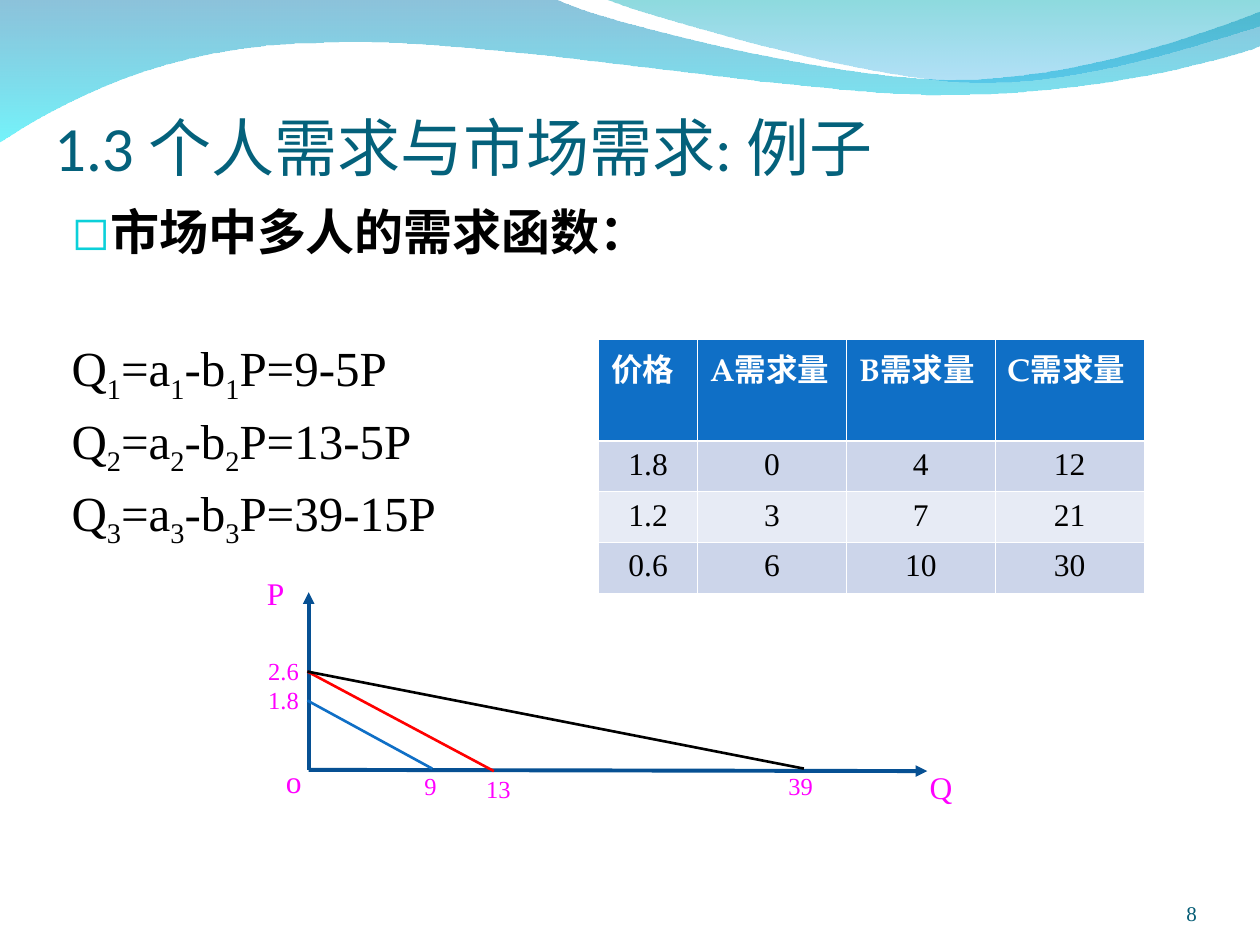
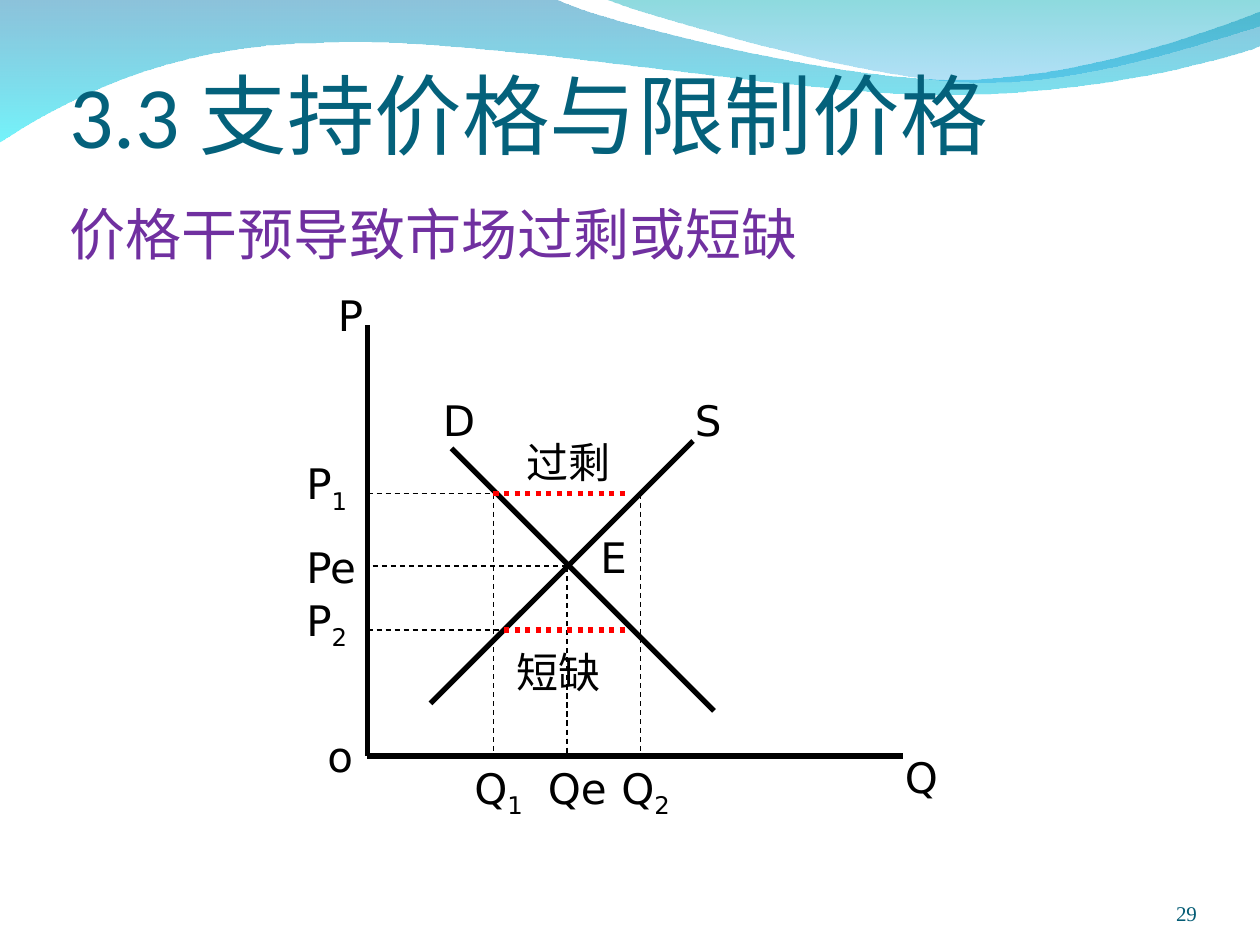
import dataclasses
import pptx
import pptx.util
import pptx.dml.color
import pptx.enum.dml
import pptx.enum.shapes
import pptx.enum.text
import pptx.oxml
import pptx.oxml.ns

Inches = pptx.util.Inches
Pt = pptx.util.Pt
RGB = pptx.dml.color.RGBColor.from_string
Dash = pptx.enum.dml.MSO_LINE
Align = pptx.enum.text.PP_ALIGN
Anchor = pptx.enum.text.MSO_ANCHOR
Fit = pptx.enum.text.MSO_AUTO_SIZE
qn = pptx.oxml.ns.qn


@dataclasses.dataclass(frozen=True)
class Theme:
    ink: str = "000000"
    white: str = "FFFFFF"
    title: str = "04617B"
    number: str = "045C75"
    purple: str = "7030A0"
    pink: str = "FF00FF"
    red: str = "FF0000"
    blue: str = "0F6FC6"
    axis: str = "065093"
    bullet: str = "0BD0D9"
    bands: tuple = ("CCD5EA", "E7EBF5")
    sans: str = "Calibri"
    serif: str = "Times New Roman"
    head: str = "TeX Gyre Pagella"
    label: str = "DejaVu Sans"
    han: str = "Noto Sans CJK SC"
    small: int = 12
    tick: int = 14
    cell: int = 18
    mark: int = 24
    body: int = 28


T = Theme()


@dataclasses.dataclass(frozen=True)
class Box:
    left: float
    top: float
    width: float
    height: float
    cols: float = 1
    rows: float = 1

    def size(self, cols, rows):
        return (Inches(self.width * cols / self.cols),
                Inches(self.height * rows / self.rows))

    def at(self, col, row):
        x, y = self.size(col, row)
        return Inches(self.left) + x, Inches(self.top) + y

    def frame(self):
        return (*self.at(0, 0), *self.size(self.cols, self.rows))


PAGE = Box(0, 0, 10, 7.5, 10, 7.5)
WAVES = (
    ([(0, -0.01), (4.4, -0.01), (4.76, 0.17, 6.64, 0.63, 7.58, 0.63),
      (8.53, 0.63, 9.58, 0.26, 10, 0.09), (10.01, 0.36),
      (9.83, 0.44, 8.7, 0.76, 7.46, 0.75),
      (6.22, 0.75, 3.82, 0.28, 2.57, 0.34),
      (1.29, 0.35, 0.46, 0.83, -0.01, 1.13), (0, -0.01)],
     (("0079AF", 45), ("00EBF8", 55))),
    ([(4.79, -0.01), (5.09, 0.11, 6.82, 0.62, 7.69, 0.65),
      (8.56, 0.69, 9.61, 0.32, 10, 0.21), (10, 0), (4.79, -0.01)],
     (("00ADB6", 45), ("009BE5", 30))),
)


def add_xml(parent, tag, **attrs):
    node = pptx.oxml.parse_xml(f"<a:{tag} {pptx.oxml.ns.nsdecls('a')}/>")
    for key, value in attrs.items():
        node.set(key, str(value))
    parent.append(node)
    return node


def style(run, size, face, color, bold=False):
    run.font.size = Pt(size)
    run.font.name = face
    run.font.bold = bold
    run.font.color.rgb = RGB(color)
    add_xml(run.font._element, "ea", typeface=T.han)


def write(para, text, *look):
    first, *rest = text.split("_")
    para.text = first
    for part in rest:
        low = para.add_run()
        low.text = part[0]
        low.font._element.set("baseline", "-25000")
        if part[1:]:
            para.add_run().text = part[1:]
    for run in para.runs:
        style(run, *look)


def bend(wave, steps):
    lines = iter(list(wave.element.iter(qn("a:lnTo"))))
    for step in steps[1:]:
        group = [next(lines) for _ in range(len(step) // 2)]
        if len(group) == 3:
            arc = add_xml(group[0].getparent(), "cubicBezTo")
            group[0].addprevious(arc)
            for line in group:
                arc.append(line[0])
                line.getparent().remove(line)


def add_waves(slide, master):
    for place, (steps, stops) in enumerate(WAVES, 2):
        spots = [PAGE.at(*step[k:k + 2])
                 for step in steps for k in range(0, len(step), 2)]
        pen = slide.shapes.build_freeform(*spots[0], scale=1.0)
        pen.add_line_segments(spots[1:], close=True)
        wave = pen.convert_to_shape()
        bend(wave, steps)
        wave.shadow.inherit = False
        wave.line.fill.background()
        wave.fill.gradient()
        wave.fill.gradient_angle = 270
        for stop, (color, _) in zip(wave.fill.gradient_stops, stops):
            stop.color.rgb = RGB(color)
        for node, (_, alpha) in zip(wave.element.iter(qn("a:srgbClr")), stops):
            add_xml(node, "alpha", val=alpha * 1000)
        master.shapes.element.insert(place, wave.element)


def add_title(slide, box, lines, spacing=1.0):
    title = slide.shapes.title
    title.left, title.top, title.width, title.height = box.frame()
    frame = title.text_frame
    frame.auto_size = Fit.NONE
    frame.word_wrap = True
    frame.vertical_anchor = Anchor.BOTTOM
    frame.margin_left = frame.margin_right = frame.margin_bottom = 0
    frame.margin_top = Inches(0.05)
    para = frame.paragraphs[0]
    para.text = "\v".join(text for text, *_ in lines)
    para.alignment = Align.LEFT
    para.line_spacing = spacing
    for run, (_, *look) in zip(para.runs, lines):
        style(run, *look)


def add_number(slide, box, text):
    frame = slide.shapes.add_textbox(*box.frame()).text_frame
    frame.word_wrap = True
    frame.vertical_anchor = Anchor.BOTTOM
    frame.margin_left = frame.margin_right = 0
    frame.margin_top = frame.margin_bottom = 0
    para = frame.paragraphs[0]
    para.alignment = Align.RIGHT
    write(para, text, T.small, T.serif, T.number)


def add_line(slide, box, start, end, color, width, dash=None, arrow=False):
    line = slide.shapes.add_connector(
        pptx.enum.shapes.MSO_CONNECTOR.STRAIGHT, *box.at(*start), *box.at(*end))
    line.line.color.rgb = RGB(color)
    line.line.width = Pt(width)
    if dash:
        line.line.dash_style = dash
    if arrow:
        add_xml(next(line.element.iter(qn("a:ln"))), "tailEnd", type="triangle")
    add_xml(line.element.spPr, "effectLst")


def add_label(slide, box, spot, size, text, *look):
    shape = slide.shapes.add_textbox(*box.at(*spot), *box.size(*size))
    shape.text_frame.word_wrap = True
    shape.text_frame.auto_size = Fit.SHAPE_TO_FIT_TEXT
    write(shape.text_frame.paragraphs[0], text, *look)


def add_sums(slide, box):
    frame = slide.shapes.add_textbox(*box.frame()).text_frame
    frame.word_wrap = True
    para = frame.paragraphs[0]
    para.line_spacing = 0.9
    write(para, "市场中多人的需求函数：", T.body, T.han, T.ink, True)
    props = para._p.get_or_add_pPr()
    props.set("marL", str(Inches(0.3)))
    props.set("indent", str(-Inches(0.3)))
    add_xml(add_xml(props, "buClr"), "srgbClr", val=T.bullet)
    add_xml(props, "buSzPct", val=95000)
    add_xml(props, "buFont", typeface=T.label)
    add_xml(props, "buChar", char="◻")
    sums = ("Q_1=a_1-b_1P=9-5P", "Q_2=a_2-b_2P=13-5P", "Q_3=a_3-b_3P=39-15P")
    for i, text in enumerate(sums):
        para = frame.add_paragraph()
        para.line_spacing = 0.9
        para.space_before = Pt(7 if i else 44.5)
        write(para, text, T.body, T.serif, T.ink)


def add_edges(cell, top, bottom):
    props = cell._tc.get_or_add_tcPr()
    for side, width in zip("LRTB", (0.45, 0.45, top, bottom)):
        edge = add_xml(props, "ln" + side, w=Pt(width))
        add_xml(add_xml(edge, "solidFill"), "srgbClr", val=T.white)


def add_needs(slide, box):
    data = (("价格", "A需求量", "B需求量", "C需求量"),
            ("1.8", "0", "4", "12"),
            ("1.2", "3", "7", "21"),
            ("0.6", "6", "10", "30"))
    table = slide.shapes.add_table(4, 4, *box.frame()).table
    for col, share in zip(table.columns, (2, 3, 3, 3)):
        col.width = box.size(share, 0)[0]
    for row, share in zip(table.rows, (2, 1, 1, 1)):
        row.height = box.size(0, share)[1]
    for r, texts in enumerate(data):
        for c, text in enumerate(texts):
            cell = table.cell(r, c)
            add_edges(cell, 1.47 if r == 1 else 0.45, 0.45 if r else 1.47)
            cell.fill.solid()
            cell.fill.fore_color.rgb = RGB(T.bands[(r - 1) % 2] if r else T.blue)
            para = cell.text_frame.paragraphs[0]
            if r:
                para.alignment = Align.CENTER
                write(para, text, T.cell, T.serif, T.ink)
            else:
                write(para, text, T.cell, T.head, T.white, True)


def add_demand(slide, box):
    zero = (4.5, 16.1)
    for end in ((4.5, 2), (53.6, 16.2)):
        add_line(slide, box, zero, end, T.axis, 2.25, arrow=True)
    for row, end, color in ((10.6, (14.3, 16), T.blue),
                            (8.3, (19.2, 16.2), T.red),
                            (8.3, (43.8, 16), T.ink)):
        add_line(slide, box, (4.4, row), end, color, 1.5)
    for text, spot in (("o", (1.7, 15)), ("P", (0.2, 0.1)), ("Q", (52.8, 15.5))):
        add_label(slide, box, spot, (3.6, 4), text, T.cell, T.serif, T.pink)
    for text, spot in (("9", (12.7, 15.7)), ("13", (17.6, 15.9)),
                       ("39", (41.6, 15.7))):
        add_label(slide, box, spot, (5.6, 3.4), text, T.tick, T.serif, T.pink)
    for text, row in (("1.8", 8.9), ("2.6", 6.6)):
        add_label(slide, box, (0.3, row), (4.7, 3.4), text, T.tick, T.serif, T.pink)


def add_market(slide, box):
    for start, end in (((8, 4), (8, 45)), ((8, 45), (59, 45)),
                       ((16, 15.7), (41, 40.7)), ((14, 40), (39, 15))):
        add_line(slide, box, start, end, T.ink, 3)
    for start, end in (((8.5, 26.9), (27.5, 26.9)), ((27, 27), (27, 45)),
                       ((8, 20), (20, 20)), ((8, 33), (21, 33)),
                       ((20, 20), (20, 45)), ((34, 20), (34, 45))):
        add_line(slide, box, start, end, T.ink, 0.75, Dash.DASH)
    for start, row in ((20, 20), (21, 33)):
        add_line(slide, box, (start, row), (33, row), T.red, 3, Dash.ROUND_DOT)
    labels = {
        (7, 6): (("P", 4, 0), ("o", 3, 42), ("Q", 58, 44),
                 ("D", 14, 10), ("S", 38, 10), ("E", 29, 23)),
        (11, 6): (("Pe", 1, 24), ("Qe", 24, 45)),
        (11, 6.7): (("P_1", 1, 16), ("P_2", 1, 29),
                    ("Q_1", 17, 45), ("Q_2", 31, 45)),
        (13, 6): (("过剩", 22, 14), ("短缺", 21, 34)),
    }
    for size, marks in labels.items():
        for text, *spot in marks:
            add_label(slide, box, spot, size, text, T.mark, T.label, T.ink)


def main():
    deck = pptx.Presentation()
    deck.slide_width, deck.slide_height = PAGE.size(10, 7.5)
    layout = deck.slide_layouts[5]
    first, second = (deck.slides.add_slide(layout) for _ in range(2))
    add_waves(first, deck.slide_master)
    for slide, text in ((first, "8"), (second, "29")):
        add_number(slide, Box(8.67, 6.95, 0.83, 0.4), text)

    add_title(first, Box(0.43, 0.91, 9, 0.55),
              [("1.3 个人需求与市场需求: 例子", 36, T.sans, T.title)])
    add_sums(first, Box(0.47, 1.6, 9, 5.21))
    add_needs(first, Box(4.75, 2.69, 4.33, 2.02, 11, 5))
    add_demand(first, Box(2, 4.5, 6, 2, 60, 20))

    add_title(second, Box(0.55, 1.46, 8.5, 0.66),
              [("3.3 支持价格与限制价格", 50, T.sans, T.title),
               ("价格干预导致市场过剩或短缺", 32, T.han, T.purple)], 1.5)
    add_market(second, Box(2.25, 2.25, 5.5, 4.5, 66, 54))
    deck.save("out.pptx")


if __name__ == "__main__":
    main()
